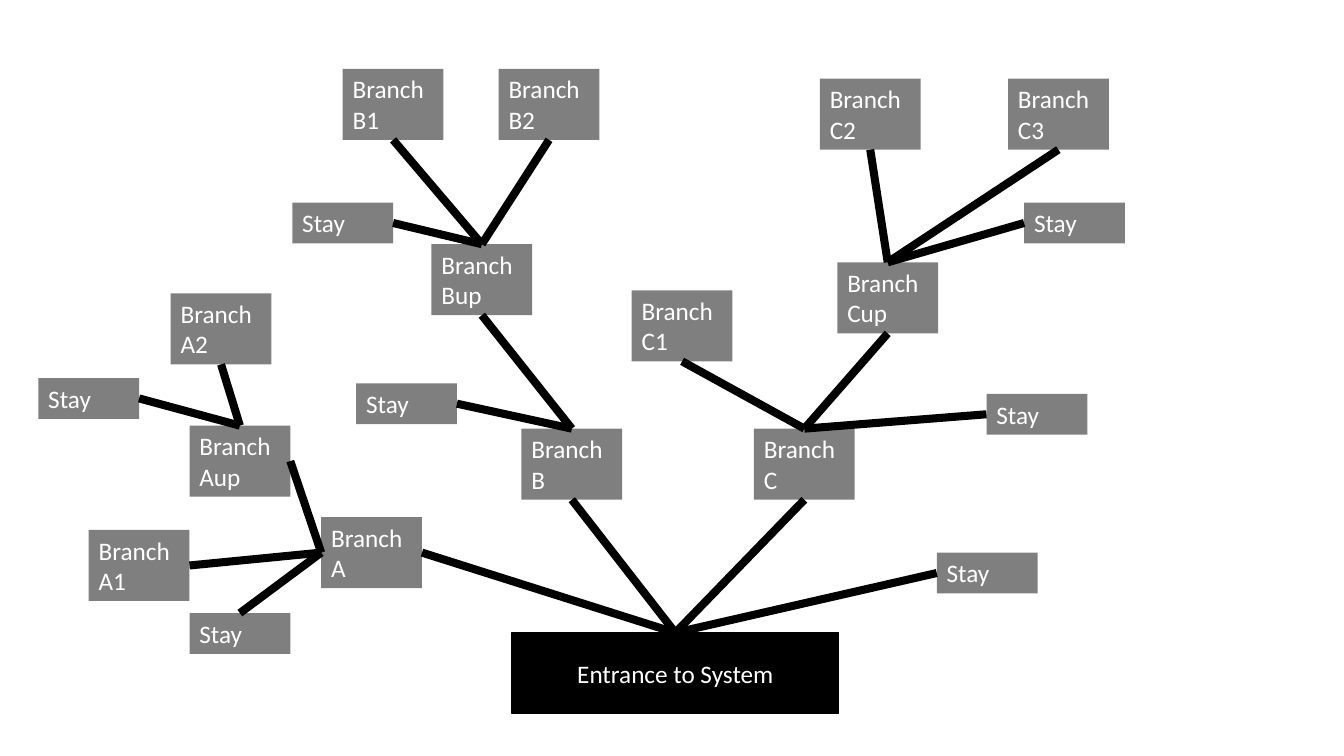
from lxml import etree
from pptx import Presentation
from pptx.dml.color import RGBColor
from pptx.enum.shapes import MSO_CONNECTOR, MSO_SHAPE
from pptx.enum.text import MSO_ANCHOR, MSO_AUTO_SIZE, PP_ALIGN
from pptx.oxml.ns import qn
from pptx.util import Inches, Pt

RECT, LINE = MSO_SHAPE.RECTANGLE, MSO_CONNECTOR.STRAIGHT
TOP, LEFT, BOTTOM, RIGHT = range(4)  # connection sites of a rectangle
COLORS = {"ink": "000000", "text": "FFFFFF"}
FONT = {"name": "Calibri", "size": Pt(18)}
BRANCH = {"vertical_anchor": MSO_ANCHOR.TOP, "auto_size": MSO_AUTO_SIZE.SHAPE_TO_FIT_TEXT}
ROOT = {"vertical_anchor": MSO_ANCHOR.MIDDLE}
INK = RGBColor.from_string(COLORS["ink"])

deck = Presentation()
deck.slide_width, deck.slide_height = Inches(13.33), Inches(7.5)
slide = deck.slides.add_slide(deck.slide_layouts[6])
COL, ROW = deck.slide_width / 100, deck.slide_height / 100


def add_box(text, x, y, wide, high, frame, align):
    """Add a labelled box, placed in percent of the slide."""
    box = slide.shapes.add_shape(
        RECT, round(x * COL), round(y * ROW), round(wide * COL), round(high * ROW))
    box.shadow.inherit = False
    box.fill.solid()
    box.fill.fore_color.rgb = INK
    box.line.fill.background()
    for key, value in {"word_wrap": True, **frame}.items():
        setattr(box.text_frame, key, value)
    para = box.text_frame.paragraphs[0]
    para.alignment = align
    run = para.add_run()
    run.text = text
    for key, value in FONT.items():
        setattr(run.font, key, value)
    run.font.color.rgb = RGBColor.from_string(COLORS["text"])
    return box


# Entrance at the foot of the tree
root = add_box("Entrance to System", 38.1, 83.7, 24.3, 10.7, ROOT, PP_ALIGN.CENTER)
root.line.color.rgb = INK
root.line.width = Pt(1)
boxes = {"Root": root}

# Tree: parent, label, left, top, site where the link meets the box
NODES = [
    ("Root", "A", 23.9, 68.4, RIGHT),
    ("Root", "B", 38.8, 56.7, BOTTOM),
    ("Root", "C", 56.1, 56.7, BOTTOM),
    ("Root", "Stay", 69.7, 73.1, LEFT),
    ("A", "A1", 6.6, 70.1, RIGHT),
    ("A", "Aup", 14.1, 56.3, RIGHT),
    ("A", "Stay", 14.1, 81.1, TOP),
    ("Aup", "A2", 12.7, 38.8, BOTTOM),
    ("Aup", "Stay", 2.85, 50, RIGHT),
    ("B", "Bup", 32.1, 32.3, BOTTOM),
    ("B", "Stay", 26.5, 50.7, RIGHT),
    ("Bup", "B1", 25.5, 9.1, BOTTOM),
    ("Bup", "B2", 37.1, 9.1, BOTTOM),
    ("Bup", "Stay", 21.75, 26.8, RIGHT),
    ("C", "C1", 47, 38.4, BOTTOM),
    ("C", "Cup", 62.3, 34.7, BOTTOM),
    ("C", "Stay", 73.4, 52.1, LEFT),
    ("Cup", "C2", 61, 10.4, BOTTOM),
    ("Cup", "C3", 75, 10.4, BOTTOM),
    ("Cup", "Stay", 76.2, 26.8, LEFT),
]

# Boxes in half-clear black
links = []
for parent, label, x, y, site in NODES:
    stay = label == "Stay"
    text = label if stay else f"Branch {label}"
    box = add_box(text, x, y, 7.5, 5.4 if stay else 9.4, BRANCH, PP_ALIGN.LEFT)
    tint = box.fill._xPr.find(qn("a:solidFill"))[0]
    etree.SubElement(tint, qn("a:alpha")).set("val", "50000")
    if not stay:
        boxes[label] = box
    links.append((box, site, boxes[parent], LEFT if parent == "A" else TOP))

# Links glued to the boxes
for child, site, parent, port in links:
    link = slide.shapes.add_connector(LINE, 0, 0, 0, 0)
    link.begin_connect(child, site)
    link.end_connect(parent, port)
    link.line.color.rgb = INK
    link.line.width = Pt(5.75)
    etree.SubElement(link._element.spPr, qn("a:effectLst"))

deck.save("out.pptx")
